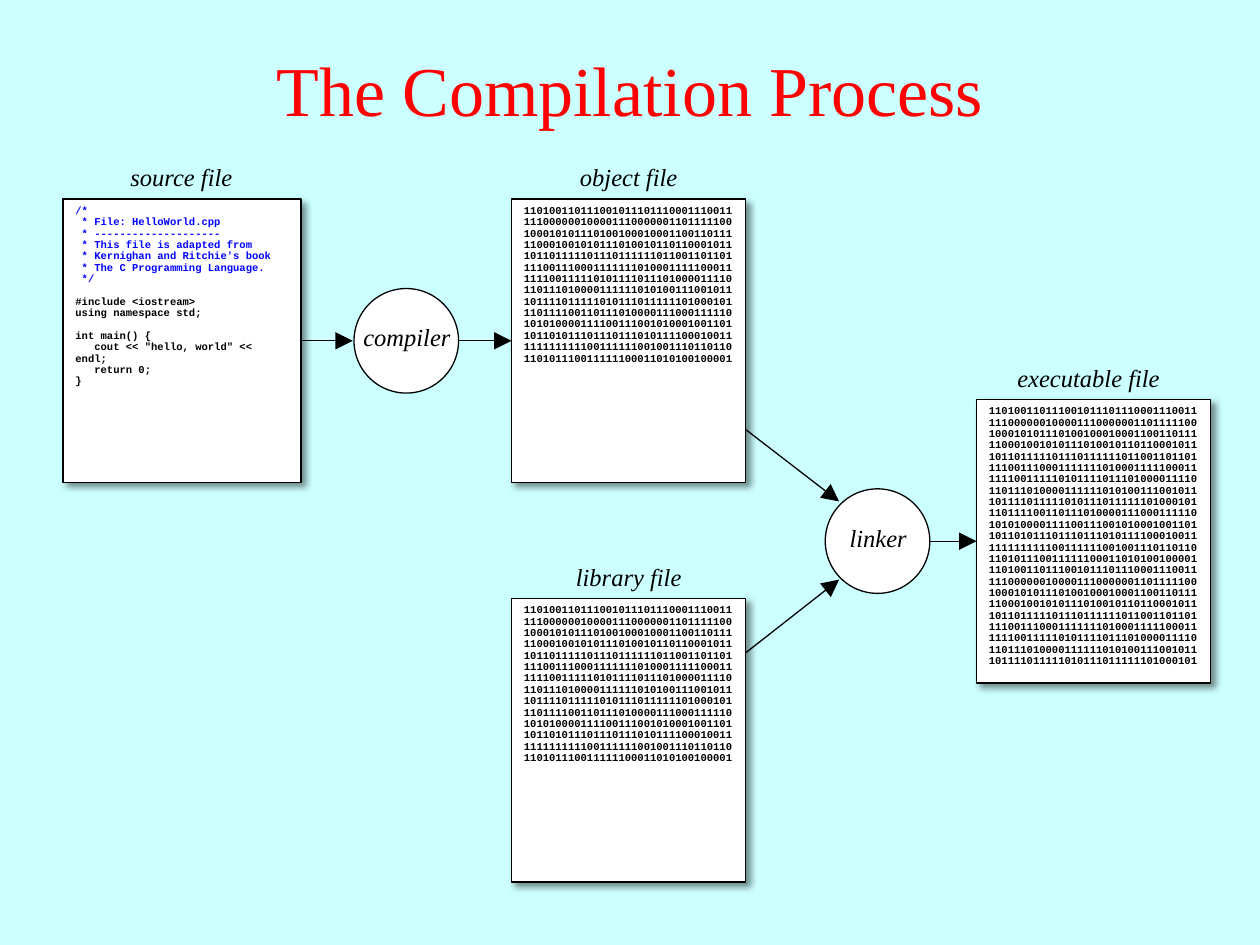
from dataclasses import dataclass

from pptx import Presentation
from pptx import util as u
from pptx.dml.color import RGBColor
from pptx.enum import shapes, text
from pptx.oxml import parse_xml
from pptx.oxml.ns import nsdecls, qn

BLACK = RGBColor(0, 0, 0)
WHITE = RGBColor(255, 255, 255)
RED = RGBColor(255, 0, 0)
BLUE = RGBColor(0, 0, 255)
AQUA = RGBColor(0xCC, 0xFF, 0xFF)
SERIF, MONO = "Times New Roman", "Courier New"
TALL, ROUND = 2.25, 0.83

NOTE = """/*
 * File: HelloWorld.cpp
 * --------------------
 * This file is adapted from
 * Kernighan and Ritchie's book
 * The C Programming Language.
 */""".split("\n")
CODE = """
#include <iostream>
using namespace std;

int main() {
   cout << "hello, world" << endl;
   return 0;
}""".split("\n")
BITS = """110100110111001011101110001110011
111000000100001110000001101111100
100010101110100100010001100110111
110001001010111010010110110001011
101101111101110111111011001101101
111001110001111111010001111100011
111100111110101111011101000011110
110111010000111111010100111001011
101111011111010111011111101000101
110111100110111010000111000111110
101010000111100111001010001001101
101101011101110111010111100010011
111111111100111111001001110110110
110101110011111100011010100100001""".split("\n")


@dataclass
class Page:
    name: str
    x: float
    y: float
    tag: float  # left edge of the caption
    lines: list
    wide: float = 1.86
    notes: int = 0  # leading lines shown as a comment

    @property
    def mid(self) -> float:
        return self.y + TALL / 2


@dataclass
class Tool:
    name: str
    x: float
    y: float


PAGES = [
    Page("source file", 0.5, 1.58, 0.5, NOTE + CODE, 1.89, len(NOTE)),
    Page("object file", 4.06, 1.58, 4.05, BITS),
    Page("library file", 4.06, 4.75, 4.05, BITS),
    Page("executable file", 7.75, 3.17, 7.7, BITS + BITS[:9]),
]
TOOLS = [Tool("compiler", 2.81, 2.29), Tool("linker", 6.55, 3.88)]


def write(frame, lines, size=14, font=SERIF, color=BLACK, bold=False,
          italic=False, align=text.PP_ALIGN.CENTER, anchor=text.MSO_ANCHOR.TOP,
          spacing=1.0, notes=0):
    """Fill a frame, one paragraph a line; an empty line becomes a gap."""
    frame.word_wrap = True
    frame.vertical_anchor = anchor
    para, gap = None, False
    for i, line in enumerate(lines):
        if not line:
            gap = True
            continue
        para = frame.add_paragraph() if para else frame.paragraphs[0]
        para.alignment = align
        para.line_spacing = spacing
        if gap:
            para.space_before = u.Pt(size * 1.08)
            gap = False
        run = para.add_run()
        run.text = line
        face = run.font
        face.name, face.size = font, u.Pt(size)
        face.bold, face.italic = bold, italic
        face.color.rgb = BLUE if i < notes else color


def label(slide, x: float, y: float, wide: float, high: float, words, **style):
    box = slide.shapes.add_textbox(*map(u.Inches, (x, y, wide, high)))
    write(box.text_frame, [words], **style)


def block(slide, kind, x: float, y: float, wide: float, high: float):
    """Add a white shape with a thin black outline."""
    form = slide.shapes.add_shape(kind, *map(u.Inches, (x, y, wide, high)))
    form.shadow.inherit = False
    form.fill.solid()
    form.fill.fore_color.rgb = WHITE
    form.line.color.rgb = BLACK
    form.line.width = u.Pt(0.75)
    return form


def draw_page(slide, page: Page):
    form = block(slide, shapes.MSO_SHAPE.RECTANGLE,
                 page.x, page.y, page.wide, TALL)
    form._element.spPr.find(qn("a:effectLst")).append(parse_xml(
        f'<a:outerShdw {nsdecls("a")} blurRad="{u.Pt(4)}" dist="{u.Pt(3)}" '
        'dir="2700000" algn="tl" rotWithShape="0"><a:srgbClr val="000000">'
        '<a:alpha val="43000"/></a:srgbClr></a:outerShdw>'))
    write(form.text_frame, page.lines, size=6, font=MONO, bold=True,
          align=text.PP_ALIGN.LEFT, spacing=0.9, notes=page.notes)
    label(slide, page.tag, page.y - 0.34, 1.88, 0.34, page.name, italic=True)
    return form


def draw_tool(slide, tool: Tool):
    """Draw a circle with a name box wider than the circle over it."""
    block(slide, shapes.MSO_SHAPE.OVAL, tool.x, tool.y, ROUND, ROUND)
    label(slide, tool.x - 0.08, tool.y + 0.22, 1, 0.34, tool.name, italic=True)


def arrow(slide, start, end, source=None, target=None):
    """Draw an arrow, joined to the right of source or the left of target."""
    line = slide.shapes.add_connector(
        shapes.MSO_CONNECTOR.STRAIGHT, *map(u.Inches, (*start, *end)))
    if source is not None:
        line.begin_connect(source, 3)
    if target is not None:
        line.end_connect(target, 1)
    line.line.color.rgb = BLACK
    line.line.width = u.Pt(0.75)
    line.line._get_or_add_ln().append(parse_xml(
        f'<a:tailEnd {nsdecls("a")} type="triangle" w="lg" len="lg"/>'))
    line._element.spPr.append(parse_xml(f'<a:effectLst {nsdecls("a")}/>'))


def main():
    deck = Presentation()
    deck.slide_width, deck.slide_height = u.Inches(10), u.Inches(7.5)
    slide = deck.slides.add_slide(deck.slide_layouts[6])
    slide.background.fill.solid()
    slide.background.fill.fore_color.rgb = AQUA

    label(slide, 0, 0.08, 10, 1.25, "The Compilation Process", size=40,
          color=RED, anchor=text.MSO_ANCHOR.MIDDLE)
    source, object_, _, final = [draw_page(slide, page) for page in PAGES]
    for tool in TOOLS:
        draw_tool(slide, tool)

    top, low = PAGES[0].mid, PAGES[3].mid
    arrow(slide, (2.39, top), (2.8, top), source=source)
    arrow(slide, (3.64, top), (4.06, top), target=object_)
    arrow(slide, (5.92, 3.41), (6.66, 3.98))
    arrow(slide, (5.92, 5.18), (6.66, 4.6))
    arrow(slide, (7.38, low), (7.75, low), target=final)
    deck.save("out.pptx")


if __name__ == "__main__":
    main()
